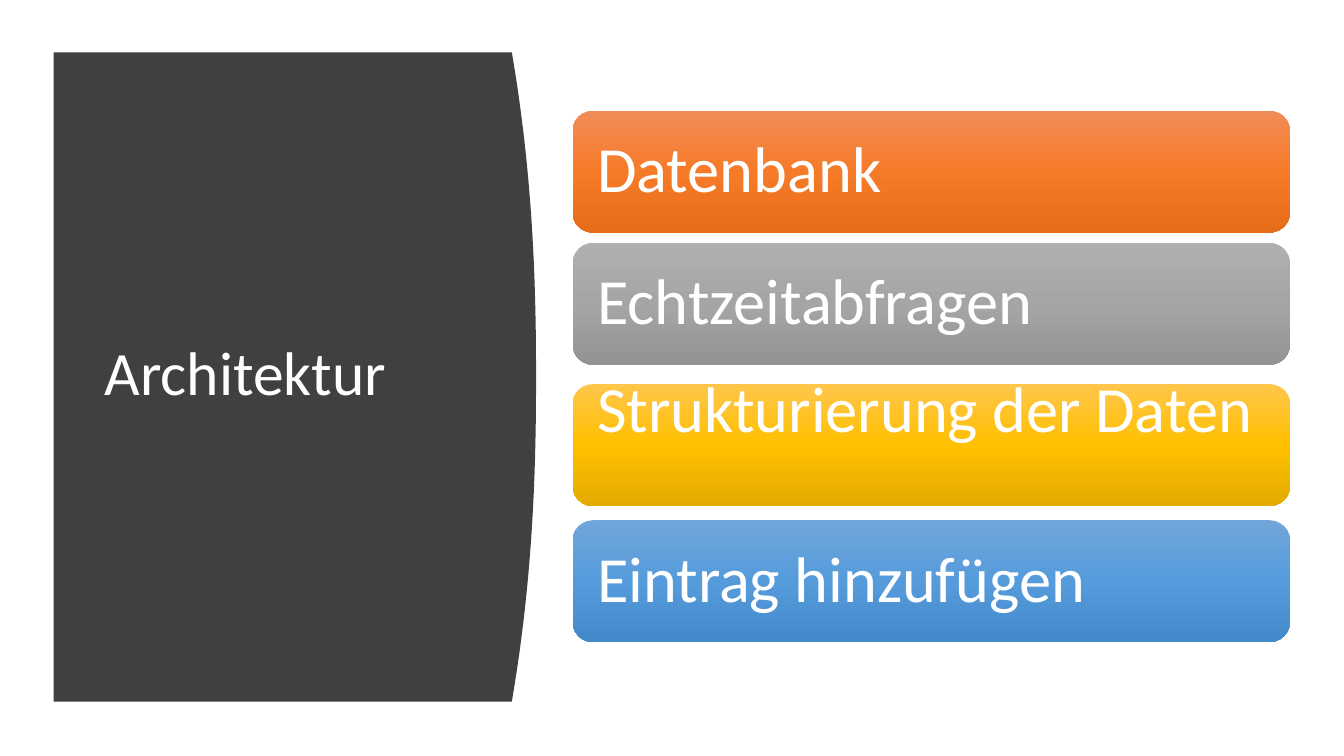
import copy

import pptx
import pptx.dml.color
import pptx.enum.shapes
import pptx.enum.text
import pptx.oxml.ns
import pptx.util

Cm = pptx.util.Cm
RGBColor = pptx.dml.color.RGBColor

WHITE = RGBColor(0xFF, 0xFF, 0xFF)
CHARCOAL = RGBColor(0x40, 0x40, 0x40)
ORANGE = (RGBColor(0xF1, 0x8C, 0x57), RGBColor(0xF6, 0x7B, 0x28), RGBColor(0xE5, 0x6C, 0x19))
GREY = (RGBColor(0xAF, 0xAF, 0xAF), RGBColor(0xA5, 0xA5, 0xA5), RGBColor(0x93, 0x93, 0x93))
GOLD = (RGBColor(0xFF, 0xC6, 0x4B), RGBColor(0xFF, 0xC0, 0x00), RGBColor(0xE3, 0xAB, 0x00))
BLUE = (RGBColor(0x71, 0xA6, 0xDB), RGBColor(0x55, 0x9B, 0xDB), RGBColor(0x44, 0x8A, 0xCA))

BAR_LEFT, BAR_WIDTH, BAR_HEIGHT = 14.43, 18.08, 3.07
BAR_PADDING = 0.14
TOPICS = (
    ("Datenbank", 2.79, ORANGE, 0),
    ("Echtzeitabfragen", 6.12, GREY, 0),
    ("Strukturierung der Daten", 9.68, GOLD, 0.84),
    ("Eintrag hinzufügen", 13.11, BLUE, 0),
)


class SlideBuilder:
    font = "Calibri"

    def __init__(self, page):
        self.page = page

    def curved_panel(self, left, top, corner, bulge, height, color):
        steps = 40
        edge = []
        for step in range(steps + 1):
            offset = abs(2 * step / steps - 1)
            x = corner + bulge * (1 - offset ** 2.3)
            edge.append((Cm(x), Cm(top + height * step / steps)))
        builder = self.page.shapes.build_freeform(Cm(left), Cm(top))
        builder.add_line_segments(edge + [(Cm(left), Cm(top + height))], close=True)
        panel = builder.convert_to_shape()
        panel.shadow.inherit = False
        panel.fill.solid()
        panel.fill.fore_color.rgb = color
        panel.line.fill.background()

    def gradient_bar(self, left, top, width, height, colors):
        bar = self.page.shapes.add_shape(
            pptx.enum.shapes.MSO_SHAPE.ROUNDED_RECTANGLE,
            Cm(left), Cm(top), Cm(width), Cm(height),
        )
        bar.shadow.inherit = False
        bar.line.fill.background()
        bar.fill.gradient()
        bar.fill.gradient_angle = 270
        stop_list = bar._element.spPr.find(".//" + pptx.oxml.ns.qn("a:gsLst"))
        stop_list.insert(1, copy.deepcopy(stop_list[0]))
        for stop, color, position in zip(bar.fill.gradient_stops, colors, (0, 0.5, 1)):
            stop.color.rgb = color
            stop.position = position

    def text(self, words, left, top, width, height, size, inset_x, inset_y):
        box = self.page.shapes.add_textbox(Cm(left), Cm(top), Cm(width), Cm(height))
        frame = box.text_frame
        frame.word_wrap = True
        frame.vertical_anchor = pptx.enum.text.MSO_ANCHOR.MIDDLE
        frame.margin_left = frame.margin_right = Cm(inset_x)
        frame.margin_top = frame.margin_bottom = Cm(inset_y)
        para = frame.paragraphs[0]
        para.line_spacing = 0.9
        span = para.add_run()
        span.text = words
        span.font.name = self.font
        span.font.size = pptx.util.Pt(size)
        span.font.color.rgb = WHITE


def main():
    deck = pptx.Presentation()
    deck.slide_width = Cm(33.87)
    deck.slide_height = Cm(19.05)
    builder = SlideBuilder(deck.slides.add_slide(deck.slide_layouts[6]))

    builder.curved_panel(1.35, 1.32, 12.9, 0.61, 16.36, CHARCOAL)
    builder.text("Architektur", 2.39, 2.82, 9.5, 13.31, 44, 0.25, 0.13)

    for words, top, colors, lift in TOPICS:
        builder.gradient_bar(BAR_LEFT, top, BAR_WIDTH, BAR_HEIGHT, colors)
        builder.text(
            words, BAR_LEFT + BAR_PADDING, top + BAR_PADDING - lift,
            BAR_WIDTH - 2 * BAR_PADDING, BAR_HEIGHT - 2 * BAR_PADDING, 46, 0.48, 0.48,
        )

    deck.save("out.pptx")


if __name__ == "__main__":
    main()
